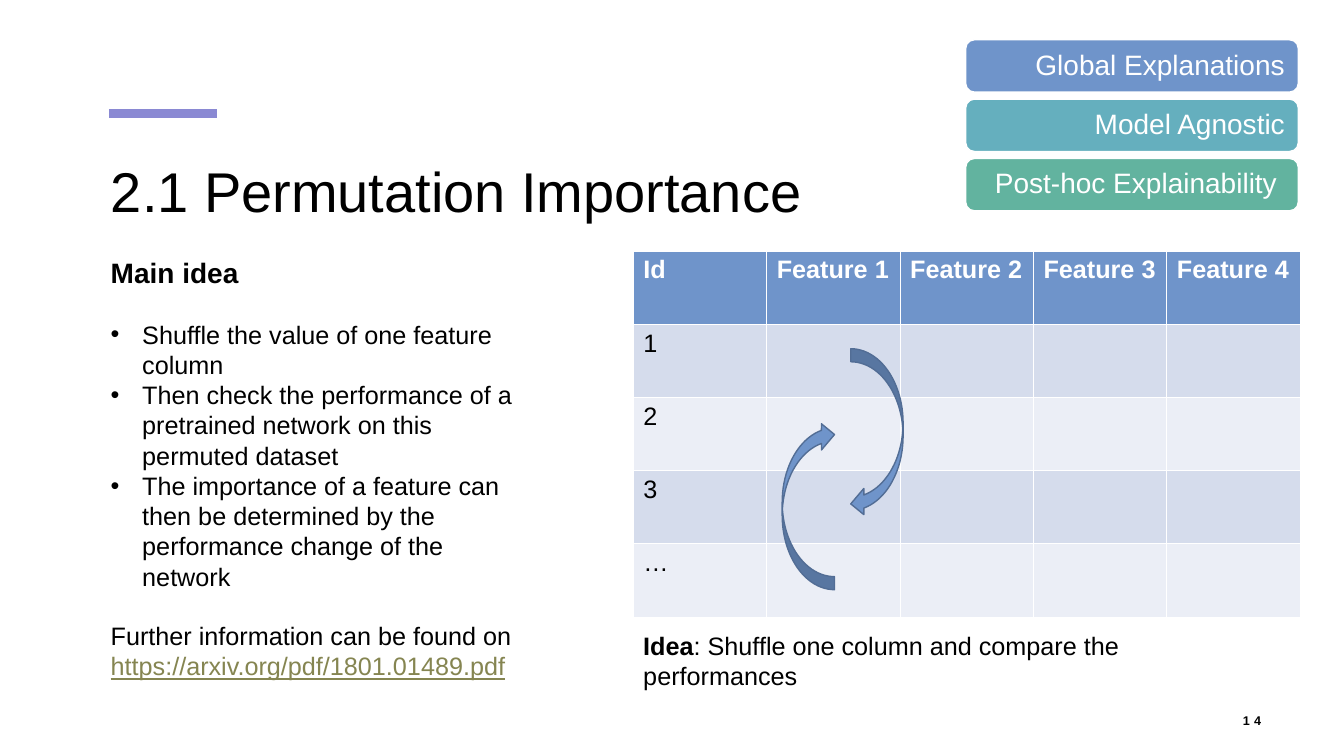
"""Build the slide on permutation importance."""
from dataclasses import dataclass

from lxml.etree import SubElement
from pptx import Presentation
from pptx.dml.color import RGBColor
from pptx.enum.shapes import MSO_CONNECTOR, MSO_SHAPE
from pptx.enum.text import MSO_ANCHOR, MSO_AUTO_SIZE, PP_ALIGN
from pptx.oxml.ns import qn
from pptx.util import Pt

TITLE = "2.1 Permutation Importance"
PAGE = "14"
HEADING = "Main idea"
BULLETS = [
    "Shuffle the value of one feature column",
    "Then check the performance of a pretrained network on this permuted dataset",
    "The importance of a feature can then be determined by the performance change of the network",
]
REFERENCE = ("Further information can be found on ", "https://arxiv.org/pdf/1801.01489.pdf")
CAPTION = ("Idea", ": Shuffle one column and compare the performances")
TAGS = [
    ("Global Explanations", "6F94CA"),
    ("Model Agnostic", "65AFBE"),
    ("Post-hoc Explainability ", "62B39F"),
]
HEADER = ["Id", "Feature 1", "Feature 2", "Feature 3", "Feature 4"]
ROW_IDS = ["1", "2", "3", "…"]
SHUFFLE_ARROWS = [(607.7, 249.1, 0), (558.7, 301, 180)]


@dataclass(frozen=True)
class Theme:
    """Colours and type sizes."""
    font: str = "Arial"
    black: str = "000000"
    white: str = "FFFFFF"
    accent: str = "8A89D3"
    blue: str = "6F94CA"
    outline: str = "526D95"
    link: str = "858551"
    bands: tuple = ("D5DCEC", "EBEEF6")
    title: int = 40
    large: int = 20
    body: int = 18
    small: int = 9


THEME = Theme()


def colour(code):
    """Turn a hex code into a colour."""
    return RGBColor.from_string(code)


def add_run(paragraph, text, size, code=THEME.black, bold=False):
    """Add one formatted run."""
    run = paragraph.add_run()
    run.text = text
    run.font.name = THEME.font
    run.font.size = Pt(size)
    run.font.bold = bold
    run.font.color.rgb = colour(code)
    return run


def add_text_box(slide, left, top, width, height):
    """Add a wrapping text box and return its frame."""
    frame = slide.shapes.add_textbox(Pt(left), Pt(top), Pt(width), Pt(height)).text_frame
    frame.word_wrap = True
    return frame


def add_filled_shape(slide, kind, box, fill, line):
    """Add a flat preset shape."""
    shape = slide.shapes.add_shape(kind, *map(Pt, box))
    shape.shadow.inherit = False
    shape.fill.solid()
    shape.fill.fore_color.rgb = colour(fill)
    shape.line.color.rgb = colour(line)
    shape.line.width = Pt(1)
    return shape


def add_title(slide):
    """Place the title and the accent line above it."""
    accent = slide.shapes.add_connector(MSO_CONNECTOR.STRAIGHT, Pt(77.8), Pt(81.2), Pt(154.8), Pt(81.2))
    accent.line.color.rgb = colour(THEME.accent)
    accent.line.width = Pt(6)
    SubElement(accent._element.spPr, qn("a:effectLst"))
    title = slide.shapes.title
    title.left, title.top, title.width, title.height = map(Pt, (72, 108, 816, 103.7))
    frame = title.text_frame
    frame.auto_size = MSO_AUTO_SIZE.NONE
    frame.vertical_anchor = MSO_ANCHOR.TOP
    paragraph = frame.paragraphs[0]
    paragraph.alignment = PP_ALIGN.LEFT
    add_run(paragraph, TITLE, THEME.title)


def add_tags(slide):
    """Stack the category tags."""
    for index, (text, fill) in enumerate(TAGS):
        box = (689.8, 28.4 + 42.4 * index, 237.6, 37.4)
        tag = add_filled_shape(slide, MSO_SHAPE.ROUNDED_RECTANGLE, box, fill, THEME.white)
        frame = tag.text_frame
        frame.margin_left = frame.margin_right = Pt(7.7)
        frame.margin_top = frame.margin_bottom = Pt(0)
        frame.vertical_anchor = MSO_ANCHOR.MIDDLE
        paragraph = frame.paragraphs[0]
        paragraph.alignment = PP_ALIGN.RIGHT
        paragraph.line_spacing = 0.9
        add_run(paragraph, text, THEME.large, THEME.white)


def add_main_idea(slide):
    """Write the heading, the bullets and the reference."""
    frame = add_text_box(slide, 72, 179.3, 306, 337)
    heading = frame.paragraphs[0]
    heading.space_after = Pt(21)
    add_run(heading, HEADING, THEME.large, bold=True)
    for text in BULLETS:
        paragraph = frame.add_paragraph()
        properties = paragraph._p.get_or_add_pPr()
        properties.set("marL", str(Pt(22.5)))
        properties.set("indent", str(-Pt(22.5)))
        SubElement(properties, qn("a:buFont"), typeface=THEME.font)
        SubElement(properties, qn("a:buChar"), char="•")
        add_run(paragraph, text, THEME.body)
    reference = frame.add_paragraph()
    reference.space_before = Pt(21)
    lead, address = REFERENCE
    add_run(reference, lead, THEME.body)
    add_run(reference, address, THEME.body, THEME.link).font.underline = True


def add_feature_table(slide):
    """Draw the feature table with its banded rows."""
    rows = [HEADER] + [[row_id] + [""] * (len(HEADER) - 1) for row_id in ROW_IDS]
    table = slide.shapes.add_table(
        len(rows), len(HEADER), Pt(452.4), Pt(179.3), Pt(476.5), Pt(261.5)).table
    for row_index, values in enumerate(rows):
        is_header = row_index == 0
        fill = THEME.blue if is_header else THEME.bands[(row_index - 1) % 2]
        for column_index, text in enumerate(values):
            cell = table.cell(row_index, column_index)
            cell.fill.solid()
            cell.fill.fore_color.rgb = colour(fill)
            if text:
                code = THEME.white if is_header else THEME.black
                add_run(cell.text_frame.paragraphs[0], text, THEME.body, code, is_header)


def add_caption(slide):
    """Write the line below the table."""
    paragraph = add_text_box(slide, 452.4, 446.4, 463.7, 29).paragraphs[0]
    label, text = CAPTION
    add_run(paragraph, label, THEME.body, bold=True)
    add_run(paragraph, text, THEME.body)


def add_shuffle_arrows(slide):
    """Draw the two arrows that swap values in a column."""
    for left, top, rotation in SHUFFLE_ARROWS:
        box = (left, top, 37.4, 120.2)
        arrow = add_filled_shape(slide, MSO_SHAPE.CURVED_LEFT_ARROW, box, THEME.blue, THEME.outline)
        arrow.rotation = rotation


def add_page_number(slide):
    """Write the page number."""
    frame = add_text_box(slide, 851, 500.4, 56.9, 28.8)
    frame.vertical_anchor = MSO_ANCHOR.MIDDLE
    paragraph = frame.paragraphs[0]
    paragraph.alignment = PP_ALIGN.RIGHT
    run = add_run(paragraph, PAGE, THEME.small, bold=True)
    run._r.get_or_add_rPr().set("spc", "300")


def main():
    """Build and save the presentation."""
    presentation = Presentation()
    presentation.slide_width, presentation.slide_height = Pt(960), Pt(540)
    slide = presentation.slides.add_slide(presentation.slide_layouts[5])
    for add_part in (add_title, add_page_number, add_tags, add_main_idea,
                     add_feature_table, add_caption, add_shuffle_arrows):
        add_part(slide)
    presentation.save("out.pptx")


if __name__ == "__main__":
    main()
